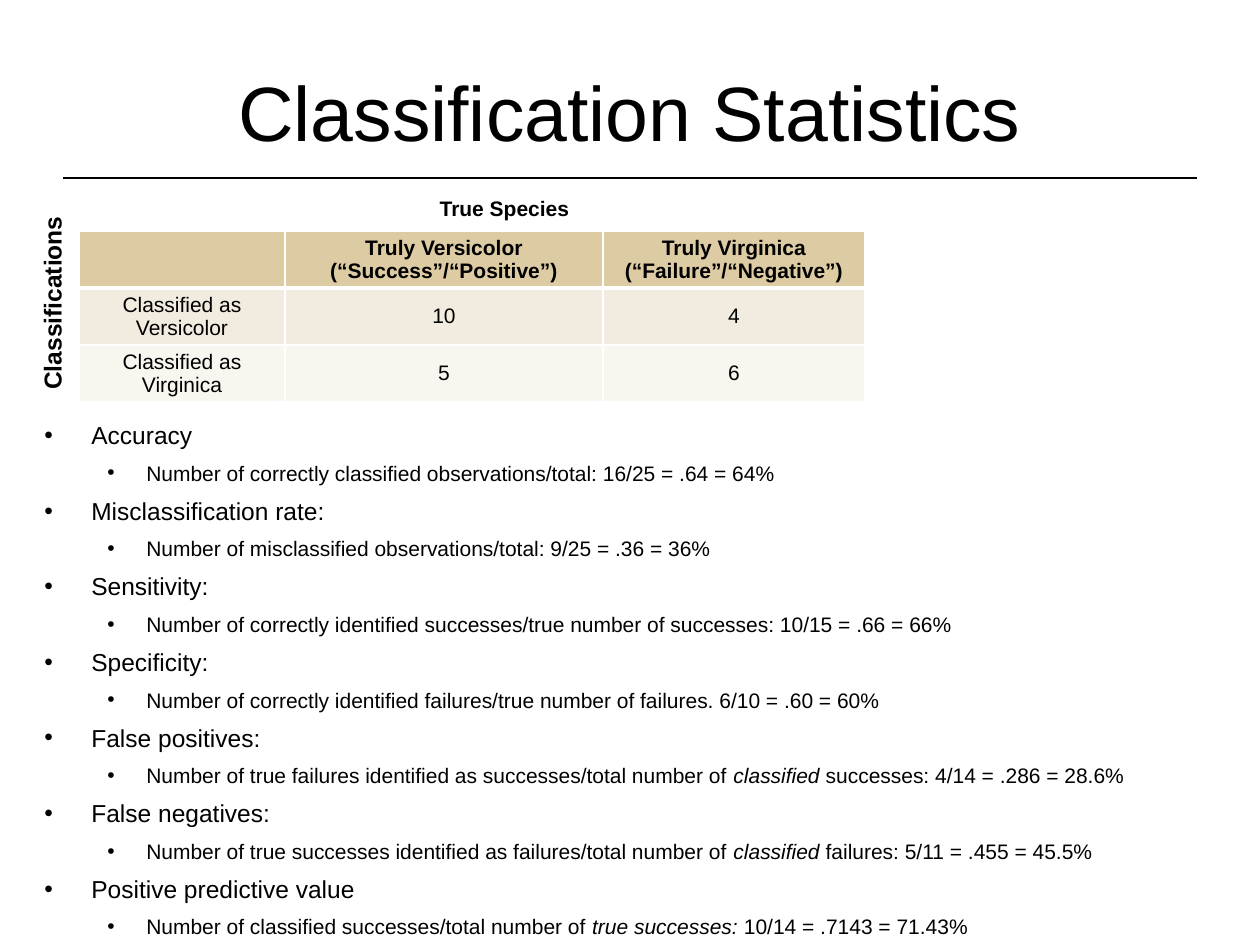
from lxml import etree
from pptx import Presentation
from pptx.dml.color import RGBColor
from pptx.enum.shapes import MSO_CONNECTOR
from pptx.enum.text import MSO_ANCHOR, PP_ALIGN
from pptx.oxml.ns import qn
from pptx.util import Emu, Pt

CENTER = PP_ALIGN.CENTER
MIDDLE = MSO_ANCHOR.MIDDLE
STRAIGHT = MSO_CONNECTOR.STRAIGHT
PX = 914400 / 126

THEME = {
    "font": "Arial",
    "ink": RGBColor.from_string("000000"),
    "border": "FFFFFF",
    "rows": ["DDCBA3", "F2ECE0", "F9F6F0"],
    "title": 44,
    "column_heading": 12,
    "row_heading": 14,
    "level_sizes": [14, 12],
    "table": 12,
}


def px(*lengths):
    return [Emu(round(length * PX)) for length in lengths]


def style(text_frame, size, bold=False):
    """Center every paragraph and format its runs."""
    for paragraph in text_frame.paragraphs:
        paragraph.alignment = CENTER
        for run in paragraph.runs:
            run.font.name = THEME["font"]
            run.font.size = Pt(size)
            run.font.bold = bold
            run.font.color.rgb = THEME["ink"]


presentation = Presentation()
presentation.slide_width, presentation.slide_height = px(1260, 945)
slide = presentation.slides.add_slide(presentation.slide_layouts[6])

# Rule under the title
rule = slide.shapes.add_connector(STRAIGHT, *px(63, 178, 1197, 178))
rule.line.color.rgb = THEME["ink"]
rule.line.width = Pt(1.25)
etree.SubElement(rule._element.spPr, qn("a:effectLst"))

# Title and table headings, without side margins so each stays on one line
headings = [
    ("Classification Statistics", (63, 32, 1134, 157), "title", False, 0),
    ("True Species", (323, 189, 363, 40), "column_heading", True, 0),
    ("Classifications", (-44, 279, 198, 48), "row_heading", True, 270),
]
for text, box, role, bold, rotation in headings:
    shape = slide.shapes.add_textbox(*px(*box))
    shape.rotation = rotation
    text_frame = shape.text_frame
    text_frame.word_wrap = True
    text_frame.margin_left = text_frame.margin_right = 0
    text_frame.text = text
    if role == "title":
        text_frame.vertical_anchor = MIDDLE
    style(text_frame, THEME[role], bold)

# Confusion matrix
matrix = [
    ["", "Truly Versicolor\n(“Success”/“Positive”)", "Truly Virginica\n(“Failure”/“Negative”)"],
    ["Classified as Versicolor", "10", "4"],
    ["Classified as Virginica", "5", "6"],
]
table = slide.shapes.add_table(3, 3, *px(79, 231, 786, 171)).table
for column, width in zip(table.columns, px(206, 318, 262)):
    column.width = width
for row in table.rows:
    row.height, = px(57)
for row_index, values in enumerate(matrix):
    for column_index, value in enumerate(values):
        cell = table.cell(row_index, column_index)
        cell.text = value
        cell.vertical_anchor = MIDDLE
        cell.margin_left, cell.margin_right, cell.margin_top, cell.margin_bottom = px(9, 9, 3, 3)
        style(cell.text_frame, THEME["table"], row_index == 0)
        properties = cell._tc.get_or_add_tcPr()
        for side in ("L", "R", "T", "B"):
            # A thick edge separates the header from the counts
            at_header = (row_index, side) in ((0, "B"), (1, "T"))
            line = etree.SubElement(properties, qn(f"a:ln{side}"), w=str(Pt(3 if at_header else 1)))
            fill = etree.SubElement(line, qn("a:solidFill"))
            etree.SubElement(fill, qn("a:srgbClr"), val=THEME["border"])
        cell.fill.solid()
        cell.fill.fore_color.rgb = RGBColor.from_string(THEME["rows"][row_index])

# Statistics and their formulas; asterisks enclose italics
statistics = [
    ("Accuracy", "Number of correctly classified observations/total: 16/25 = .64 = 64%"),
    ("Misclassification rate:", "Number of misclassified observations/total: 9/25 = .36 = 36%"),
    ("Sensitivity:", "Number of correctly identified successes/true number of successes: 10/15 = .66 = 66%"),
    ("Specificity:", "Number of correctly identified failures/true number of failures. 6/10 = .60 = 60%"),
    ("False positives:", "Number of true failures identified as successes/total number of "
                         "*classified* successes: 4/14 = .286 = 28.6%"),
    ("False negatives:", "Number of true successes identified as failures/total number of "
                         "*classified* failures: 5/11 = .455 = 45.5%"),
    ("Positive predictive value", "Number of classified successes/total number of "
                                  "*true successes: *10/14 = .7143 = 71.43%"),
]
indents = [px(47, -47), px(102, -39)]
body = slide.shapes.add_textbox(*px(32, 414, 1134, 431)).text_frame
body.word_wrap = True
lines = [(level, text) for pair in statistics for level, text in enumerate(pair)]
for index, (level, text) in enumerate(lines):
    paragraph = body.add_paragraph() if index else body.paragraphs[0]
    paragraph.level = level
    paragraph.space_before = Pt(6 if index else 0)
    properties = paragraph._p.get_or_add_pPr()
    margin, indent = indents[level]
    properties.set("marL", str(margin))
    properties.set("indent", str(indent))
    etree.SubElement(properties, qn("a:buFont"), typeface=THEME["font"])
    etree.SubElement(properties, qn("a:buChar"), char="•")
    for part_index, part in enumerate(text.split("*")):
        run = paragraph.add_run()
        run.text = part
        run.font.name = THEME["font"]
        run.font.size = Pt(THEME["level_sizes"][level])
        run.font.italic = part_index % 2 == 1
        run.font.color.rgb = THEME["ink"]

presentation.save("out.pptx")
